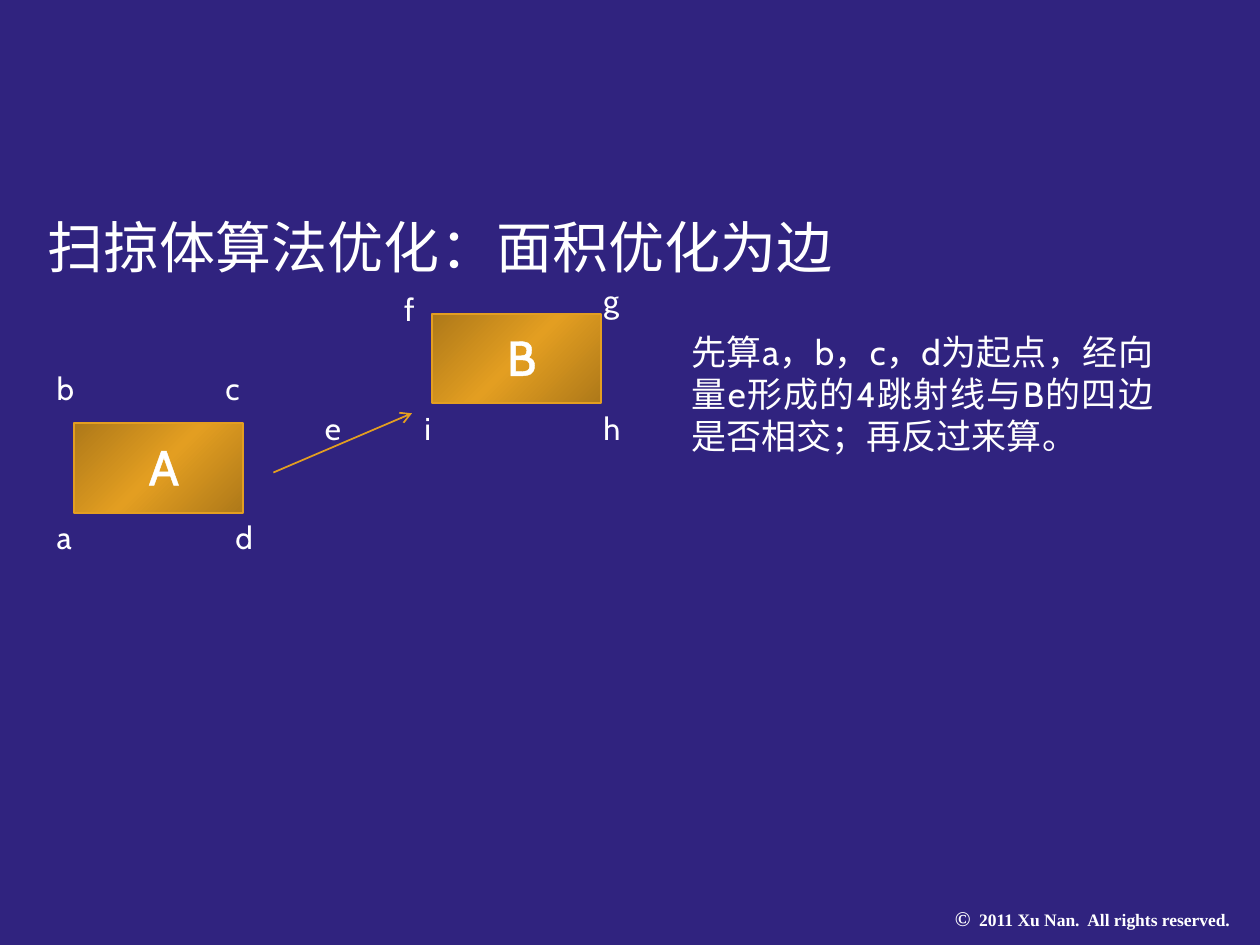
from dataclasses import dataclass

from lxml import etree
from pptx import Presentation
from pptx.dml.color import RGBColor
from pptx.enum.shapes import MSO_CONNECTOR, MSO_SHAPE
from pptx.enum.text import MSO_ANCHOR, MSO_AUTO_SIZE, PP_ALIGN
from pptx.oxml.ns import qn
from pptx.util import Inches, Pt

RECTANGLE = MSO_SHAPE.RECTANGLE
STRAIGHT = MSO_CONNECTOR.STRAIGHT
TOP = MSO_ANCHOR.TOP
NO_AUTOFIT = MSO_AUTO_SIZE.NONE
LEFT, CENTER, JUSTIFY = PP_ALIGN.LEFT, PP_ALIGN.CENTER, PP_ALIGN.JUSTIFY
TITLE_ONLY_LAYOUT = 5


@dataclass(frozen=True)
class Theme:
    background: str = "30237F"
    text: str = "FFFFFF"
    gold: str = "E39E21"
    dark_gold: str = "AE7919"
    font: str = "Cabin"
    footer_font: str = "Times New Roman"
    title_size: float = 32
    letter_size: float = 28
    body_size: float = 20
    label_size: float = 18
    symbol_size: float = 12
    footer_size: float = 10
    line_width: float = 1
    letter_outline: float = 1.45


@dataclass(frozen=True)
class Box:
    """Place and size as shares of the slide."""
    left: float
    top: float
    width: float
    height: float


@dataclass(frozen=True)
class Body:
    name: str
    left: float
    top: float


@dataclass(frozen=True)
class Label:
    text: str
    left: float
    top: float


THEME = Theme()
SLIDE_WIDTH, SLIDE_HEIGHT = Inches(10), Inches(7.5)
BODY_WIDTH, BODY_HEIGHT = 1.34 / 10, 0.71 / 7.5
LABEL_WIDTH, LABEL_HEIGHT = 0.39 / 10, 0.4 / 7.5

BODIES = [Body("A", 0.59 / 10, 3.36 / 7.5), Body("B", 3.43 / 10, 2.49 / 7.5)]
UPPER_ROW, MIDDLE_ROW, LOWER_ROW = 2.88 / 7.5, 3.2 / 7.5, 4.06 / 7.5
LABELS = [
    Label("a", 0.035, LOWER_ROW),
    Label("b", 0.035, UPPER_ROW),
    Label("c", 0.169, UPPER_ROW),
    Label("d", 0.177, LOWER_ROW),
    Label("e", 0.248, MIDDLE_ROW),
    Label("f", 0.311, 0.3),
    Label("g", 0.469, 2.18 / 7.5),
    Label("h", 0.469, MIDDLE_ROW),
    Label("i", 0.327, MIDDLE_ROW),
]
TITLE_BOX = Box(0.028, 1.7 / 7.5, 0.92, 0.59 / 7.5)
EXPLANATION_BOX = Box(0.539, 2.57 / 7.5, 0.386, 1.11 / 7.5)
FOOTER_BOX = Box(0.748, 7.14 / 7.5, 0.272, 0.04)


def across(share: float) -> int:
    return round(SLIDE_WIDTH * share)


def down(share: float) -> int:
    return round(SLIDE_HEIGHT * share)


def place(box: Box) -> tuple[int, int, int, int]:
    return across(box.left), down(box.top), across(box.width), down(box.height)


def color(value: str) -> RGBColor:
    return RGBColor.from_string(value)


def style_font(font, size: float, name: str = THEME.font) -> None:
    font.name = name
    font.size = Pt(size)
    font.color.rgb = color(THEME.text)


def add_text(slide, text: str, box: Box, size: float, alignment=LEFT):
    text_box = slide.shapes.add_textbox(*place(box))
    text_box.text_frame.word_wrap = True
    paragraph = text_box.text_frame.paragraphs[0]
    paragraph.text = text
    paragraph.alignment = alignment
    style_font(paragraph.font, size)
    return paragraph


def add_solid_fill(parent, value: str) -> None:
    fill = etree.SubElement(parent, qn("a:solidFill"))
    etree.SubElement(fill, qn("a:srgbClr"), val=value)


def fill_with_gold_gradient(shape) -> None:
    shape.fill.gradient()
    shape.fill.gradient_angle = 315
    stop_list = shape.fill._fill._gradFill.find(qn("a:gsLst"))
    for stop in list(stop_list):
        stop_list.remove(stop)
    for position, value in ((0, THEME.dark_gold), (50, THEME.gold), (100, THEME.dark_gold)):
        stop = etree.SubElement(stop_list, qn("a:gs"), pos=str(position * 1000))
        etree.SubElement(stop, qn("a:srgbClr"), val=value)


def add_body(slide, body: Body) -> None:
    box = Box(body.left, body.top, BODY_WIDTH, BODY_HEIGHT)
    rectangle = slide.shapes.add_shape(RECTANGLE, *place(box))
    rectangle.shadow.inherit = False
    fill_with_gold_gradient(rectangle)
    rectangle.line.color.rgb = color(THEME.gold)
    rectangle.line.width = Pt(THEME.line_width)

    letter_box = Box(body.left + 0.0315, body.top + 0.0073, 0.079, 0.57 / 7.5)
    paragraph = add_text(slide, body.name, letter_box, THEME.letter_size, CENTER)
    properties = paragraph.runs[0].font._element
    outline = etree.SubElement(properties, qn("a:ln"), w=str(Pt(THEME.letter_outline)))
    add_solid_fill(outline, THEME.text)


def add_vector(slide) -> None:
    vector = slide.shapes.add_connector(
        STRAIGHT, across(0.217), down(0.5), across(0.327), down(3.28 / 7.5))
    vector.line.color.rgb = color(THEME.gold)
    vector.line.width = Pt(THEME.line_width)
    etree.SubElement(vector.line._get_or_add_ln(), qn("a:tailEnd"), type="arrow")
    etree.SubElement(vector._element.spPr, qn("a:effectLst"))


def set_title(slide, text: str) -> None:
    title = slide.shapes.title
    title.left, title.top, title.width, title.height = place(TITLE_BOX)
    frame = title.text_frame
    frame.text = text
    frame.word_wrap = True
    frame.auto_size = NO_AUTOFIT
    frame.vertical_anchor = TOP
    paragraph = frame.paragraphs[0]
    paragraph.alignment = LEFT
    paragraph.line_spacing = 0.9
    style_font(paragraph.font, THEME.title_size)


def add_footer(slide) -> None:
    paragraph = add_text(slide, "", FOOTER_BOX, THEME.footer_size)
    for text, size in (("©", THEME.symbol_size),
                       ("  2011 Xu Nan.  All rights reserved.", THEME.footer_size)):
        run = paragraph.add_run()
        run.text = text
        style_font(run.font, size, THEME.footer_font)
        run.font.bold = True


def main() -> None:
    presentation = Presentation()
    presentation.slide_width, presentation.slide_height = SLIDE_WIDTH, SLIDE_HEIGHT
    slide = presentation.slides.add_slide(presentation.slide_layouts[TITLE_ONLY_LAYOUT])
    slide.background.fill.solid()
    slide.background.fill.fore_color.rgb = color(THEME.background)

    set_title(slide, "扫掠体算法优化：面积优化为边")
    for body in BODIES:
        add_body(slide, body)
    add_vector(slide)
    for label in LABELS:
        box = Box(label.left, label.top, LABEL_WIDTH, LABEL_HEIGHT)
        add_text(slide, label.text, box, THEME.label_size)
    add_text(slide, "先算a，b，c，d为起点，经向量e形成的4跳射线与B的四边是否相交；再反过来算。",
             EXPLANATION_BOX, THEME.body_size, JUSTIFY)
    add_footer(slide)
    presentation.save("out.pptx")


if __name__ == "__main__":
    main()
